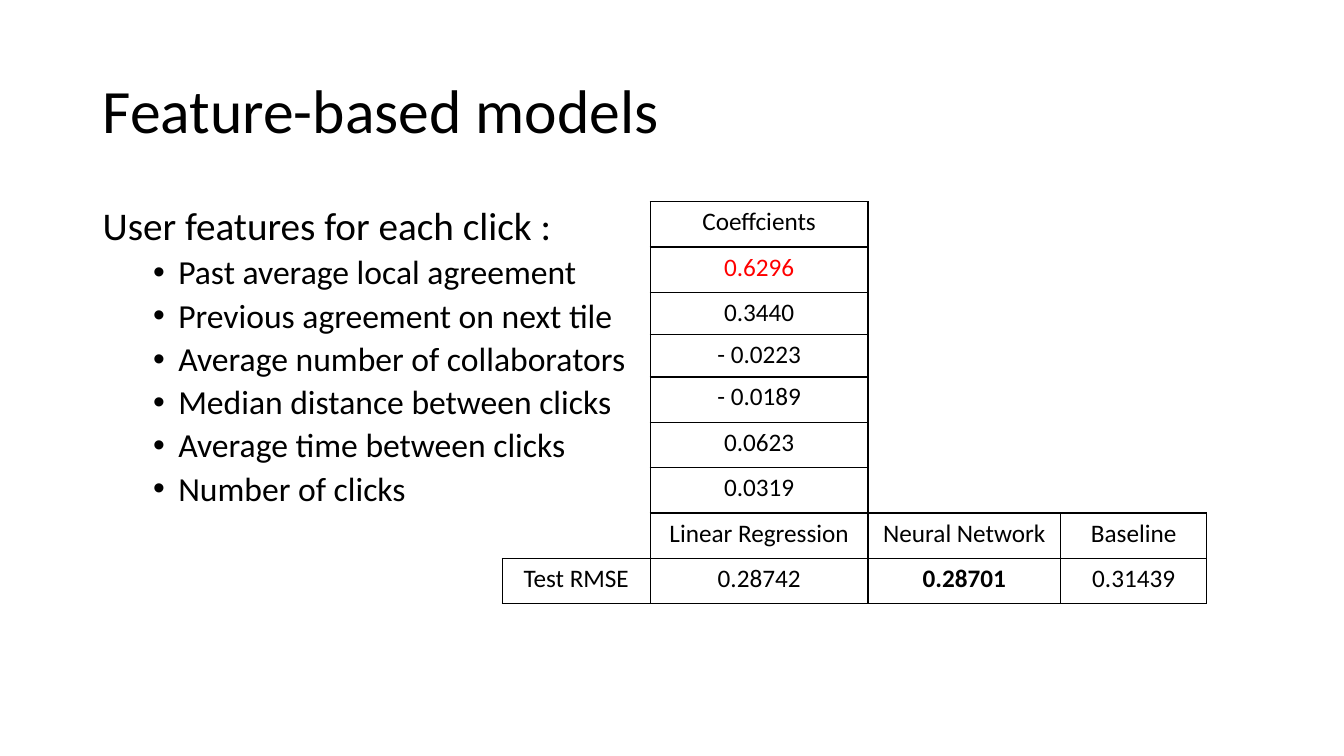
from lxml import etree
from pptx import Presentation
from pptx import util as u
from pptx.dml.color import RGBColor
from pptx.enum import text
from pptx.oxml import ns

BLACK, RED = "000000", "FF0000"


def px(n):
    """Turn px (100 to the inch) into EMU."""
    return u.Emu(n * 9144)


def hue(code):
    return RGBColor.from_string(code)


def add(parent, tag, **attrs):
    return etree.SubElement(parent, ns.qn(tag), attrs)


class Deck:
    face = "Calibri"

    def __init__(self, wide, high):
        self.prs = Presentation()
        self.prs.slide_width, self.prs.slide_height = px(wide), px(high)
        self.slide = self.prs.slides.add_slide(self.prs.slide_layouts[6])

    def style(self, para, size, color=BLACK, bold=False):
        font = para.font
        font.name, font.size, font.bold = self.face, u.Pt(size), bold
        font.color.rgb = hue(color)

    def box(self, left, top, wide, high, anchor=text.MSO_ANCHOR.TOP):
        shape = self.slide.shapes.add_textbox(px(left), px(top), px(wide), px(high))
        frame = shape.text_frame
        frame.word_wrap = True
        frame.vertical_anchor = anchor
        return frame

    def line(self, para, words, size):
        para.text = words
        para.line_spacing = 0.9
        self.style(para, size)

    def bullet(self, frame, words, size):
        para = frame.add_paragraph()
        para.level = 1
        para.space_before = u.Pt(5)
        props = para._p.get_or_add_pPr()
        props.set("marL", str(px(75)))
        props.set("indent", str(px(-25)))
        add(props, "a:buFont", typeface="Arial")
        add(props, "a:buChar", char="•")
        self.line(para, words, size)

    def edge(self, cell, side, shown):
        ln = add(cell._tc.get_or_add_tcPr(), f"a:ln{side}", w=str(u.Pt(1)))
        if shown:
            add(add(ln, "a:solidFill"), "a:srgbClr", val=BLACK)
        else:
            add(ln, "a:noFill")

    def table(self, left, top, cols, rows, cells, size, marks):
        """Rule every edge that touches a filled cell; marks maps words to a style."""
        grid = self.slide.shapes.add_table(
            len(rows), len(cols), px(left), px(top), px(sum(cols)), px(sum(rows))).table
        grid.first_row = grid.horz_banding = False
        for col, wide in zip(grid.columns, cols):
            col.width = px(wide)
        for row, high in zip(grid.rows, rows):
            row.height = px(high)
        full = {(r, c) for r, row in enumerate(cells) for c, words in enumerate(row) if words}
        sides = {"L": (0, -1), "R": (0, 1), "T": (-1, 0), "B": (1, 0)}
        for r, row in enumerate(cells):
            for c, words in enumerate(row):
                cell = grid.cell(r, c)
                for side, (down, over) in sides.items():
                    self.edge(cell, side, bool(full & {(r, c), (r + down, c + over)}))
                cell.fill.background()
                para = cell.text_frame.paragraphs[0]
                if words:
                    para.text = words
                para.alignment = text.PP_ALIGN.CENTER
                self.style(para, size, **marks.get(words, {}))


def main():
    deck = Deck(1333, 750)

    title = deck.box(92, 40, 1150, 145, text.MSO_ANCHOR.MIDDLE)
    deck.line(title.paragraphs[0], "Feature-based models", 44)

    body = deck.box(92, 200, 1137, 476)
    body._txBody.bodyPr.set("numCol", "2")
    deck.line(body.paragraphs[0], "User features for each click :", 28)
    for words in ("Past average local agreement", "Previous agreement on next tile",
                  "Average number of collaborators", "Median distance between clicks",
                  "Average time between clicks", "Number of clicks"):
        deck.bullet(body, words, 24)

    coeffs = ("Coeffcients", "0.6296", "0.3440", "- 0.0223", "- 0.0189", "0.0623", "0.0319")
    cells = [("", words, "", "") for words in coeffs]
    cells += [("", "Linear Regression", "Neural Network", "Baseline"),
              ("Test RMSE", "0.28742", "0.28701", "0.31439")]
    rows = [45] * 2 + [42] * 2 + [45] * 5
    deck.table(498, 200, (147, 216, 191, 145), rows, cells, 18,
               {"0.6296": {"color": RED}, "0.28701": {"bold": True}})

    deck.prs.save("out.pptx")


if __name__ == "__main__":
    main()
